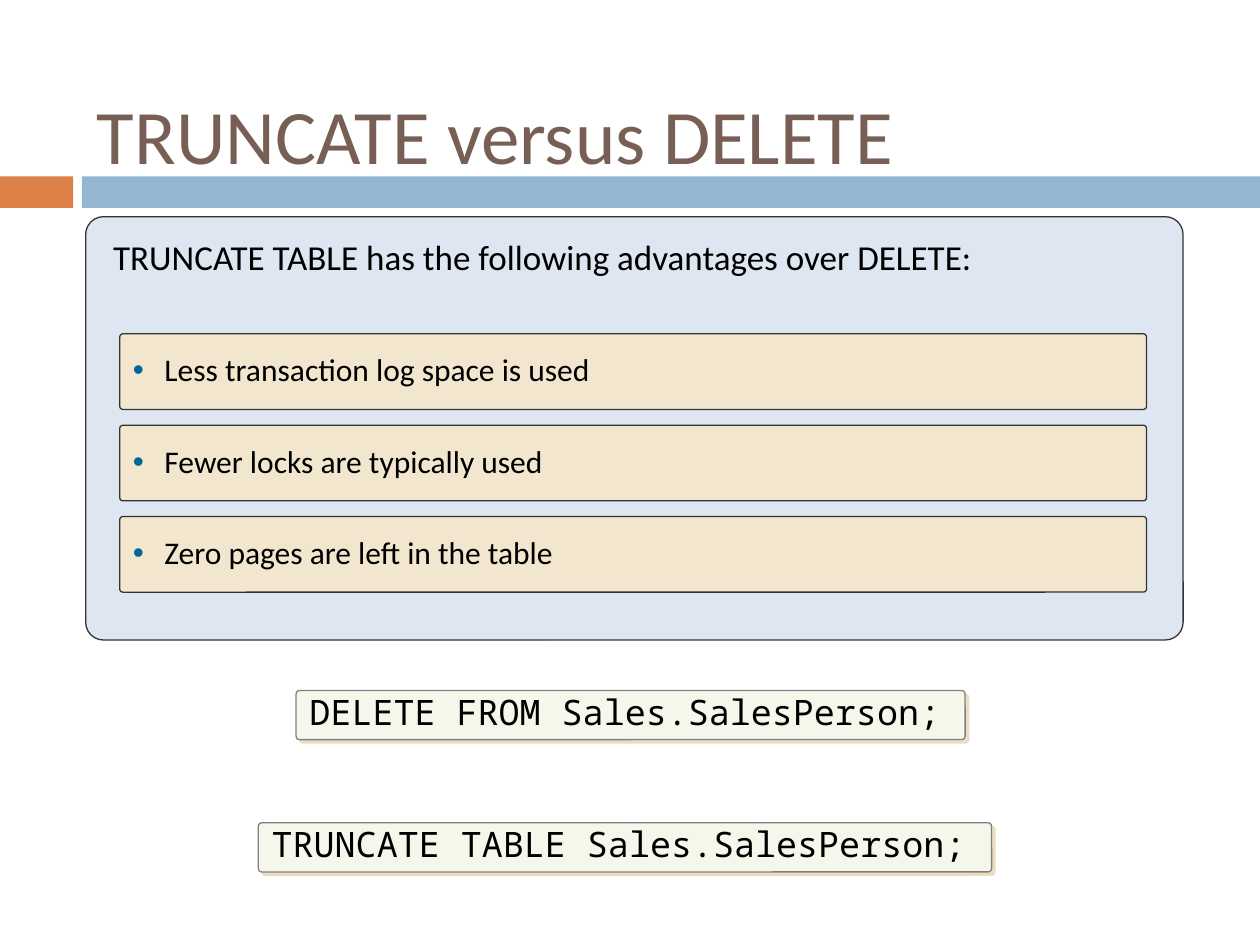
"""Build the slide that sets TRUNCATE against DELETE."""
from dataclasses import dataclass
from typing import Optional

from lxml.etree import SubElement
from pptx import Presentation as Deck
from pptx.dml.color import RGBColor as Color
from pptx.enum.shapes import MSO_SHAPE as Form
from pptx.enum.text import MSO_ANCHOR as Anchor, PP_ALIGN as Align
from pptx.oxml.ns import qn
from pptx.util import Emu, Inches, Pt

COLUMNS, ROWS = 100, 75
WIDTH, HEIGHT = Inches(10), Inches(7.5)


@dataclass(frozen=True)
class Theme:
    sans: str = "Calibri"
    mono: str = "Noto Sans Mono"
    title_size: int = 44
    lead_size: int = 20
    item_size: int = 18
    title: str = "775F55"
    ink: str = "000000"
    accent: str = "DD8047"
    band: str = "94B6D2"
    panel: str = "DEE7F1"
    item: str = "F2E7CE"
    outline: str = "333333"
    bullet: str = "006699"
    code: str = "F6F7EB"
    code_outline: str = "808080"
    code_shadow: str = "EBDDC3"


THEME = Theme()


@dataclass(frozen=True)
class Area:
    left: float
    top: float
    width: float
    height: float

    def lengths(self) -> tuple[Emu, Emu, Emu, Emu]:
        column, row = WIDTH / COLUMNS, HEIGHT / ROWS
        return (Emu(round(self.left * column)), Emu(round(self.top * row)),
                Emu(round(self.width * column)), Emu(round(self.height * row)))


@dataclass(frozen=True)
class Style:
    size: int
    color: str = THEME.ink
    name: str = THEME.sans
    anchor: Anchor = Anchor.MIDDLE
    line_spacing: float = 1.0
    bullet: Optional[str] = None


@dataclass(frozen=True)
class Look:
    fill: str
    outline: Optional[str] = None
    corner: Optional[float] = None
    shadow: Optional[str] = None


TITLE = Style(THEME.title_size, THEME.title)
LEAD = Style(THEME.lead_size, anchor=Anchor.TOP)
ITEM = Style(THEME.item_size, line_spacing=0.9, bullet=THEME.bullet)
CODE = Style(THEME.lead_size, name=THEME.mono, line_spacing=0.8)

PANEL_LOOK = Look(THEME.panel, THEME.outline, 0.042)
ITEM_LOOK = Look(THEME.item, THEME.outline, 0.042)
CODE_LOOK = Look(THEME.code, THEME.code_outline, 0.071, THEME.code_shadow)

BANDS = ((Area(0, 14, 5.8, 2.5), THEME.accent),
         (Area(6.5, 14, 93.5, 2.5), THEME.band))
ITEMS = ("Less transaction log space is used",
         "Fewer locks are typically used",
         "Zero pages are left in the table")
ITEM_TOP, ITEM_STEP = 26.5, 7.25
STATEMENTS = ((Area(23.5, 54.8, 53.1, 3.9), "DELETE FROM Sales.SalesPerson;"),
              (Area(20.5, 65.3, 58.2, 3.9), "TRUNCATE TABLE Sales.SalesPerson;"))


def set_values(target, values: dict) -> None:
    for name, value in values.items():
        setattr(target, name, value)


def add_bullet(para, color: str) -> None:
    settings = para._p.get_or_add_pPr()
    settings.set("marL", str(Inches(0.25)))
    settings.set("indent", str(-Inches(0.25)))
    tint = SubElement(settings, qn("a:buClr"))
    SubElement(tint, qn("a:srgbClr"), val=color)
    SubElement(settings, qn("a:buFont"), typeface="Arial")
    SubElement(settings, qn("a:buChar"), char="•")


def write(box, text: str, style: Style) -> None:
    frame = box.text_frame
    set_values(frame, {"word_wrap": True, "vertical_anchor": style.anchor})
    para = frame.paragraphs[0]
    if style.bullet:
        add_bullet(para, style.bullet)
    set_values(para, {"alignment": Align.LEFT, "line_spacing": style.line_spacing})
    span = para.add_run()
    span.text = text
    set_values(span.font, {"name": style.name, "size": Pt(style.size)})
    span.font.color.rgb = Color.from_string(style.color)


def add_text(page, area: Area, text: str, style: Style) -> None:
    write(page.shapes.add_textbox(*area.lengths()), text, style)


def add_shadow(shape, color: str) -> None:
    effects = shape._element.spPr.find(qn("a:effectLst"))
    shadow = SubElement(effects, qn("a:outerShdw"), dist=str(Pt(2.8)),
                        dir="2700000", algn="ctr", rotWithShape="0")
    SubElement(shadow, qn("a:srgbClr"), val=color)


def add_block(page, area: Area, look: Look, text: str = "",
              style: Optional[Style] = None) -> None:
    form = Form.ROUNDED_RECTANGLE if look.corner else Form.RECTANGLE
    shape = page.shapes.add_shape(form, *area.lengths())
    shape.shadow.inherit = False
    shape.fill.solid()
    shape.fill.fore_color.rgb = Color.from_string(look.fill)
    if look.corner:
        shape.adjustments[0] = look.corner
    if look.outline:
        shape.line.color.rgb = Color.from_string(look.outline)
        shape.line.width = Pt(0.75)
    else:
        shape.line.fill.background()
    if look.shadow:
        add_shadow(shape, look.shadow)
    if style:
        write(shape, text, style)


def main() -> None:
    deck = Deck()
    set_values(deck, {"slide_width": WIDTH, "slide_height": HEIGHT})
    page = deck.slides.add_slide(deck.slide_layouts[6])
    for area, color in BANDS:
        add_block(page, area, Look(color))
    add_text(page, Area(6.7, 5.2, 89.2, 10.8), "TRUNCATE versus DELETE", TITLE)
    add_block(page, Area(6.8, 17.2, 87.1, 33.6), PANEL_LOOK)
    for index, text in enumerate(ITEMS):
        area = Area(9.5, ITEM_TOP + index * ITEM_STEP, 81.5, 6)
        add_block(page, area, ITEM_LOOK, text, ITEM)
    add_text(page, Area(8, 18.2, 84.4, 7.7),
             "TRUNCATE TABLE has the following advantages over DELETE:", LEAD)
    for area, text in STATEMENTS:
        add_block(page, area, CODE_LOOK, text, CODE)
    deck.save("out.pptx")


if __name__ == "__main__":
    main()
